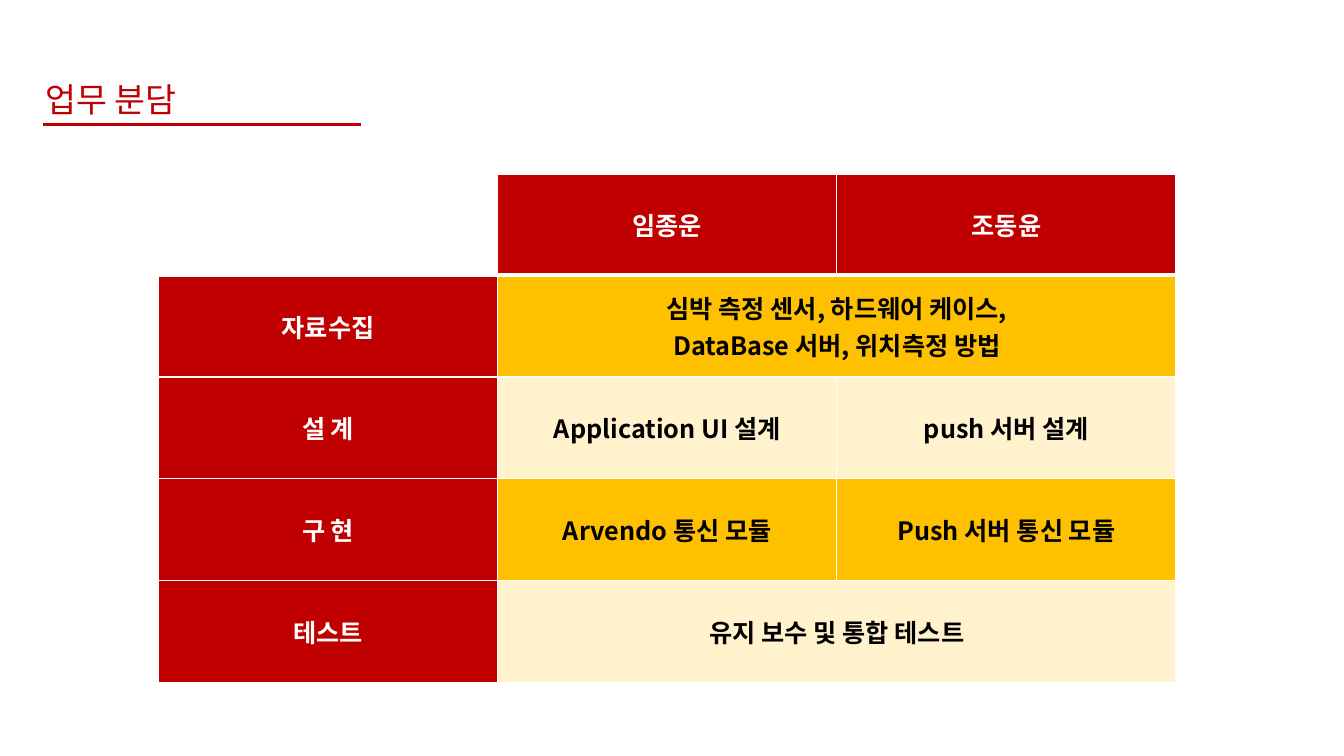
from dataclasses import dataclass

from lxml.etree import SubElement
from pptx import Presentation
from pptx.dml.color import RGBColor
from pptx.enum.shapes import MSO_CONNECTOR
from pptx.enum.text import MSO_ANCHOR, MSO_AUTO_SIZE, PP_ALIGN
from pptx.oxml.ns import qn
from pptx.util import Emu, Pt

EMU_PER_PX = 9525
FONT = "Noto Sans CJK KR"
COLORS = {
    "white": "FFFFFF",
    "black": "000000",
    "red": "C00000",
    "amber": "FFC000",
    "cream": "FFF2CC",
}
COLUMN_WIDTH = 323
HEADER_HEIGHT = 96
ROW_HEIGHT = 97


@dataclass
class DutyRow:
    label: str
    duties: list[str]  # a single duty is shared by both members


MEMBERS = ["임종운", "조동윤"]
DUTY_ROWS = [
    DutyRow("자료수집", ["심박 측정 센서, 하드웨어 케이스,\nDataBase 서버, 위치측정 방법"]),
    DutyRow("설 계", ["Application UI 설계", "push 서버 설계"]),
    DutyRow("구 현", ["Arvendo 통신 모듈", "Push 서버 통신 모듈"]),
    DutyRow("테스트", ["유지 보수 및 통합 테스트"]),
]


def px(length: int) -> Emu:
    return Emu(length * EMU_PER_PX)


def rgb(name: str) -> RGBColor:
    return RGBColor.from_string(COLORS[name])


def format_text(text_frame, size: int, color: str, bold: bool = False) -> None:
    for para in text_frame.paragraphs:
        for span in para.runs:
            span.font.size = Pt(size)
            span.font.bold = bold
            span.font.name = FONT
            span.font.color.rgb = rgb(color)
            SubElement(span.font._element, qn("a:ea"), typeface=FONT)


def add_borders(cell, bottom_width: int) -> None:
    properties = cell._tc.get_or_add_tcPr()
    widths = {"lnL": 1, "lnR": 1, "lnT": 1, "lnB": bottom_width}
    for side, width in widths.items():
        border = SubElement(properties, qn(f"a:{side}"), w=str(Pt(width)))
        fill = SubElement(border, qn("a:solidFill"))
        SubElement(fill, qn("a:srgbClr"), val=COLORS["white"])


def fill_cell(cell, text: str, fill: str, color: str) -> None:
    cell.fill.solid()
    cell.fill.fore_color.rgb = rgb(fill)
    cell.vertical_anchor = MSO_ANCHOR.MIDDLE
    cell.text = text
    for para in cell.text_frame.paragraphs:
        para.alignment = PP_ALIGN.CENTER
    format_text(cell.text_frame, 18, color, bold=True)


def add_title(page, text: str) -> None:
    """Draw the page title and the red rule under it."""
    rule = page.shapes.add_connector(
        MSO_CONNECTOR.STRAIGHT, px(41), px(119), px(344), px(119))
    rule.line.color.rgb = rgb("red")
    rule.line.width = Pt(2.25)
    SubElement(rule._element.spPr, qn("a:effectLst"))

    box = page.shapes.add_textbox(px(34), px(70), px(160), px(48))
    box.text_frame.word_wrap = False
    box.text_frame.auto_size = MSO_AUTO_SIZE.SHAPE_TO_FIT_TEXT
    box.text_frame.text = text
    format_text(box.text_frame, 24, "red")


def add_duty_table(page) -> None:
    row_count, column_count = len(DUTY_ROWS) + 1, len(MEMBERS) + 1
    height = HEADER_HEIGHT + ROW_HEIGHT * len(DUTY_ROWS)
    table = page.shapes.add_table(
        row_count, column_count, px(151), px(166),
        px(COLUMN_WIDTH * column_count), px(height)).table
    for column in table.columns:
        column.width = px(COLUMN_WIDTH)
    for index, row in enumerate(table.rows):
        row.height = px(ROW_HEIGHT if index else HEADER_HEIGHT)
        for cell in row.cells:
            add_borders(cell, bottom_width=1 if index else 3)

    fill_cell(table.cell(0, 0), "", "white", "black")
    for column, member in enumerate(MEMBERS, start=1):
        fill_cell(table.cell(0, column), member, "red", "white")
    for index, row in enumerate(DUTY_ROWS, start=1):
        fill_cell(table.cell(index, 0), row.label, "red", "white")
        if len(row.duties) == 1:
            table.cell(index, 1).merge(table.cell(index, len(MEMBERS)))
        band = "amber" if index % 2 else "cream"
        for column, duty in enumerate(row.duties, start=1):
            fill_cell(table.cell(index, column), duty, band, "black")


def main() -> None:
    deck = Presentation()
    deck.slide_width, deck.slide_height = px(1280), px(720)
    page = deck.slides.add_slide(deck.slide_layouts[6])
    add_title(page, "업무 분담")
    add_duty_table(page)
    deck.save("out.pptx")


if __name__ == "__main__":
    main()
